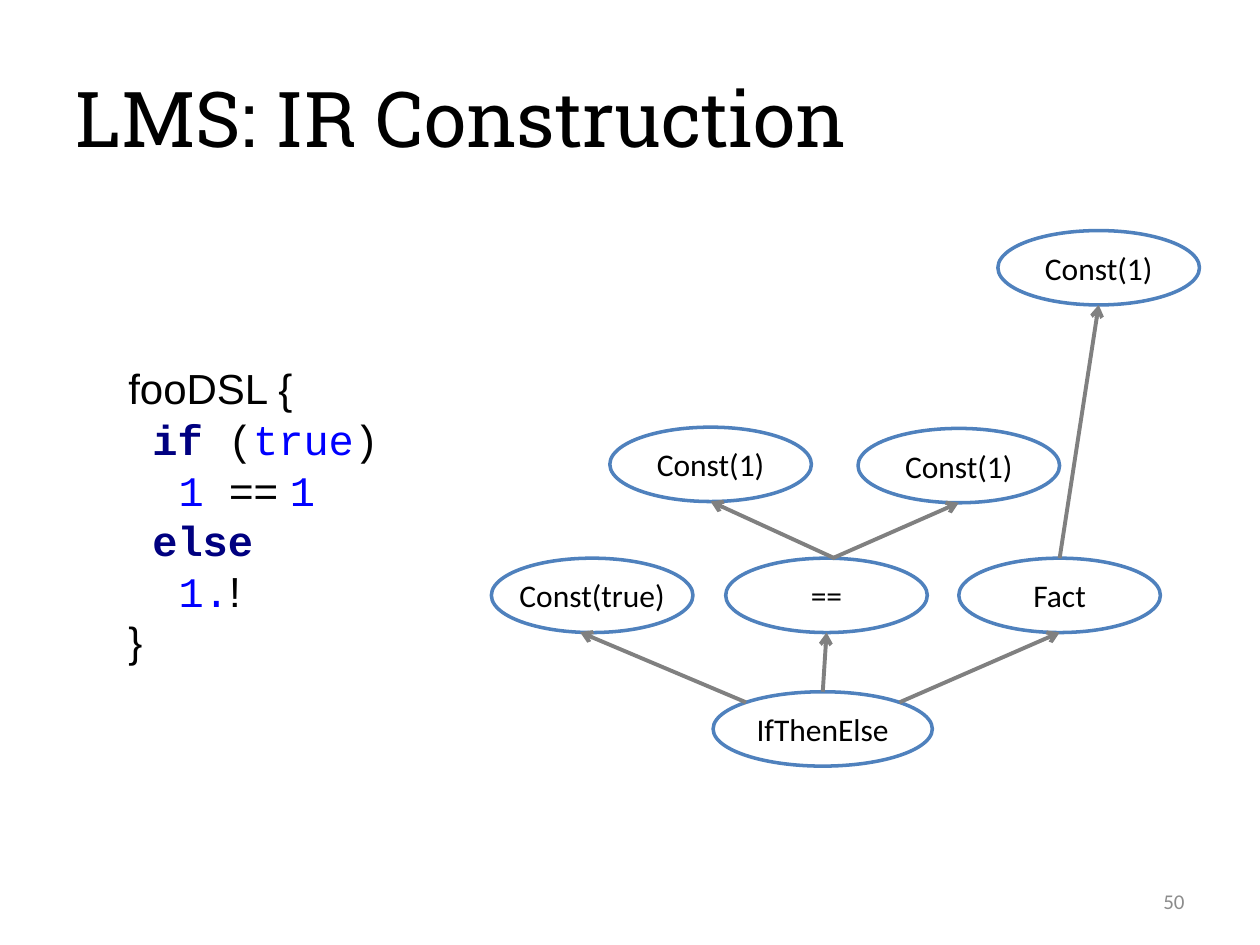
import math

import pptx
import pptx.dml.color
import pptx.enum.shapes
import pptx.enum.text
import pptx.oxml
import pptx.oxml.ns
import pptx.util

RGBColor = pptx.dml.color.RGBColor
BLACK = RGBColor(0x00, 0x00, 0x00)
NAVY = RGBColor(0x00, 0x00, 0x80)
BLUE = RGBColor(0x00, 0x00, 0xFF)
OUTLINE = RGBColor(0x4F, 0x81, 0xBD)
ARROW = RGBColor(0x80, 0x80, 0x80)
PAGE_GREY = RGBColor(0x8C, 0x8C, 0x8C)

ALIGN = pptx.enum.text.PP_ALIGN
ANCHOR = pptx.enum.text.MSO_ANCHOR
SHAPES = pptx.enum.shapes

SLIDE_WIDTH = pptx.util.Inches(10)
SLIDE_HEIGHT = pptx.util.Inches(7.5)
COLUMN = SLIDE_WIDTH / 100
ROW = SLIDE_HEIGHT / 75

TITLE_BOX = (5, 3, 90, 12.5)
PAGE_BOX = (71.7, 69.5, 23.3, 4)
CODE_BOX = (9.2, 28.3, 24.2, 37.4)
GRAPH_BOX = (39, 18.3, 56.2, 42.5)

NODE_WIDTH, ROOT_WIDTH, NODE_HEIGHT = 16, 17.4, 5.9
NODES = {
    "condition": ("Const(true)", 0, 26, NODE_WIDTH),
    "root": ("IfThenElse", 17.6, 36.6, ROOT_WIDTH),
    "equals": ("==", 18.6, 26, NODE_WIDTH),
    "factorial": ("Fact", 37.1, 26, NODE_WIDTH),
    "left operand": ("Const(1)", 9.4, 15.6, NODE_WIDTH),
    "right operand": ("Const(1)", 29.1, 15.7, NODE_WIDTH),
    "argument": ("Const(1)", 40.2, 0, NODE_WIDTH),
}
EDGES = [
    ("root", 0.15, "condition", 0.44),
    ("root", 0.5, "equals", 0.5),
    ("root", 0.85, "factorial", 0.5),
    ("equals", 0.53, "right operand", 0.5),
    ("equals", 0.54, "left operand", 0.5),
    ("factorial", 0.5, "argument", 0.5),
]

SANS = {"name": "Arial", "color": BLACK, "bold": False}
MONO = {"name": "Courier New", "color": BLACK, "bold": False}
KEYWORD = {"name": "Courier New", "color": NAVY, "bold": True}
LITERAL = {"name": "Courier New", "color": BLUE, "bold": False}
CODE_LINES = [
    (0, [("fooDSL {", SANS)]),
    (0.19, [("if ", KEYWORD), ("(", MONO), ("true", LITERAL), (")", MONO)]),
    (0.4, [("1 ", LITERAL), ("== ", SANS), ("1", LITERAL)]),
    (0.19, [("else", KEYWORD)]),
    (0.4, [("1.", LITERAL), ("!", SANS)]),
    (0, [("}", SANS)]),
]


def grid_box(left, top, width, height):
    return [round(left * COLUMN), round(top * ROW),
            round(width * COLUMN), round(height * ROW)]


def format_font(font, values):
    for key, value in values.items():
        if key == "color":
            font.color.rgb = value
        else:
            setattr(font, key, value)


def write(paragraph, text, size, values):
    run = paragraph.add_run()
    run.text = text
    format_font(run.font, {"size": pptx.util.Pt(size), **values})


def place_title(slide, box):
    title = slide.shapes.title
    for key, value in zip(("left", "top", "width", "height"), grid_box(*box)):
        setattr(title, key, value)
    title.text_frame.vertical_anchor = ANCHOR.MIDDLE
    paragraph = title.text_frame.paragraphs[0]
    paragraph.alignment = ALIGN.LEFT
    write(paragraph, "LMS: IR Construction", 44,
          {"name": "Roboto Slab", "color": BLACK})


def place_page_number(slide, box):
    frame = slide.shapes.add_textbox(*grid_box(*box)).text_frame
    frame.word_wrap = True
    frame.vertical_anchor = ANCHOR.MIDDLE
    paragraph = frame.paragraphs[0]
    paragraph.alignment = ALIGN.RIGHT
    write(paragraph, "50", 12, {"name": "Calibri", "color": PAGE_GREY})


def place_code(slide, box):
    frame = slide.shapes.add_textbox(*grid_box(*box)).text_frame
    frame.word_wrap = True
    for index, (indent, runs) in enumerate(CODE_LINES):
        paragraph = frame.add_paragraph() if index else frame.paragraphs[0]
        paragraph.line_spacing = pptx.util.Pt(28.9)
        properties = paragraph._p.get_or_add_pPr()
        properties.set("marL", str(pptx.util.Inches(indent)))
        for text, values in runs:
            write(paragraph, text, 24, values)


def add_node(slide, label, box):
    ellipse = slide.shapes.add_shape(SHAPES.MSO_SHAPE.OVAL, *grid_box(*box))
    ellipse.shadow.inherit = False
    ellipse.fill.background()
    ellipse.line.color.rgb = OUTLINE
    ellipse.line.width = pptx.util.Pt(2)
    frame = ellipse.text_frame
    frame.word_wrap = False
    frame.vertical_anchor = ANCHOR.MIDDLE
    paragraph = frame.paragraphs[0]
    paragraph.alignment = ALIGN.CENTER
    write(paragraph, label, 18, {"name": "Calibri", "color": BLACK})
    return ellipse


def rim_point(ellipse, share, side):
    rise = math.sqrt(1 - (2 * share - 1) ** 2) * ellipse.height / 2
    return (round(ellipse.left + share * ellipse.width),
            round(ellipse.top + ellipse.height / 2 + side * rise))


def add_arrow(slide, start, end):
    connector = slide.shapes.add_connector(
        SHAPES.MSO_CONNECTOR.STRAIGHT, *start, *end)
    connector.line.color.rgb = ARROW
    connector.line.width = pptx.util.Pt(2.25)
    namespace = pptx.oxml.ns.nsdecls("a")
    connector.line._get_or_add_ln().append(
        pptx.oxml.parse_xml(f'<a:tailEnd {namespace} type="arrow"/>'))
    connector._element.spPr.append(
        pptx.oxml.parse_xml(f"<a:effectLst {namespace}/>"))


def place_graph(slide, box):
    left, top = box[:2]
    ellipses = {
        name: add_node(slide, label, (left + x, top + y, width, NODE_HEIGHT))
        for name, (label, x, y, width) in NODES.items()
    }
    for parent, parent_share, child, child_share in EDGES:
        add_arrow(slide, rim_point(ellipses[parent], parent_share, -1),
                  rim_point(ellipses[child], child_share, 1))


def main():
    presentation = pptx.Presentation()
    presentation.slide_width = SLIDE_WIDTH
    presentation.slide_height = SLIDE_HEIGHT
    slide = presentation.slides.add_slide(presentation.slide_layouts[5])
    place_title(slide, TITLE_BOX)
    place_page_number(slide, PAGE_BOX)
    place_code(slide, CODE_BOX)
    place_graph(slide, GRAPH_BOX)
    presentation.save("out.pptx")


if __name__ == "__main__":
    main()
